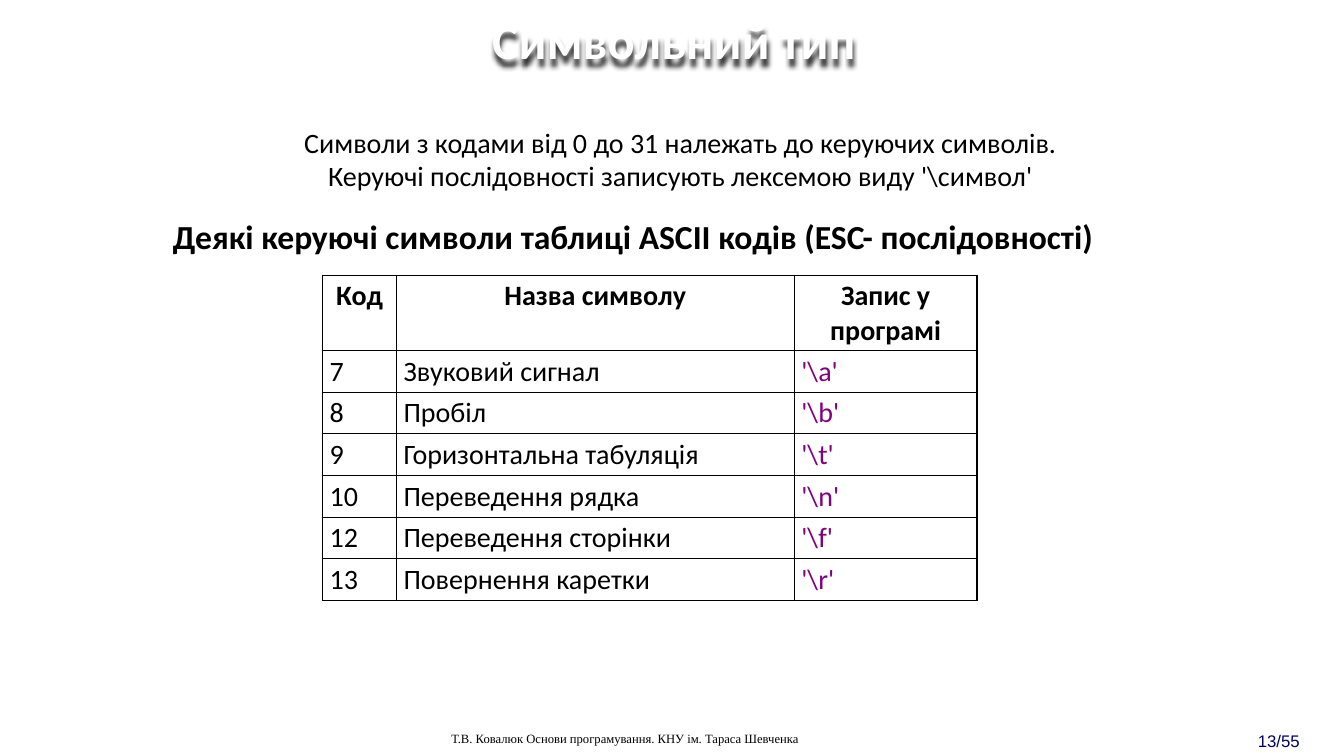
"""Build the slide on the character type and its escape sequences."""
from lxml import etree
from pptx import Presentation
from pptx.dml.color import RGBColor
from pptx.enum.shapes import MSO_SHAPE
from pptx.enum.text import MSO_ANCHOR, MSO_AUTO_SIZE, PP_ALIGN
from pptx.oxml import parse_xml
from pptx.util import Inches, Pt

RECT = MSO_SHAPE.RECTANGLE
TOP, MIDDLE = MSO_ANCHOR.TOP, MSO_ANCHOR.MIDDLE
LEFT, CENTER = PP_ALIGN.LEFT, PP_ALIGN.CENTER
GROW, FIXED = MSO_AUTO_SIZE.SHAPE_TO_FIT_TEXT, MSO_AUTO_SIZE.NONE
NS = "http://schemas.openxmlformats.org/drawingml/2006/main"
WIDTH, HEIGHT = Inches(13.33), Inches(7.5)
BLACK, WHITE, NAVY, PURPLE = "000000", "FFFFFF", "000066", "800080"

HEADER = ("Код", "Назва символу", "Запис у програмі")
ESCAPES = (
    ("7", "Звуковий сигнал", "'\\a'"),
    ("8", "Пробіл", "'\\b'"),
    ("9", "Горизонтальна табуляція", "'\\t'"),
    ("10", "Переведення рядка", "'\\n'"),
    ("12", "Переведення сторінки", "'\\f'"),
    ("13", "Повернення каретки", "'\\r'"),
)
COLUMN_SHARES = (5.5, 29.6, 13.6)
HEADER_SHARE, ROW_SHARE = 9.87, 5.45


def rgb(color):
    """Turn a hex string into a colour."""
    return RGBColor.from_string(color)


def across(share):
    """Return a percentage of the slide's width."""
    return int(WIDTH * share / 100)


def down(share):
    """Return a percentage of the slide's height."""
    return int(HEIGHT * share / 100)


def place(x, y, w, h):
    """Return a box given in percentages of the slide."""
    return across(x), down(y), across(w), down(h)


def style(tf, size, color=BLACK, bold=False, font="Calibri", align=LEFT):
    """Format every paragraph and run of a text frame."""
    for p in tf.paragraphs:
        p.alignment = align
        for r in p.runs:
            r.font.name = font
            r.font.size = Pt(size)
            r.font.bold = bold
            r.font.color.rgb = rgb(color)


def write(sp, text, size, anchor=TOP, wrap=True, fit=GROW, **look):
    """Fill a shape with formatted text and return the shape."""
    tf = sp.text_frame
    tf.text = text
    tf.word_wrap = wrap
    tf.vertical_anchor = anchor
    tf.auto_size = fit
    style(tf, size, **look)
    return sp


def add_text(slide, box, text, size, **look):
    """Add a text box."""
    return write(slide.shapes.add_textbox(*place(*box)), text, size, **look)


def add_panel(slide, box, text, size, **look):
    """Add a white rectangle with text."""
    sp = slide.shapes.add_shape(RECT, *place(*box))
    sp.shadow.inherit = False
    sp.fill.solid()
    sp.fill.fore_color.rgb = rgb(WHITE)
    sp.line.fill.background()
    return write(sp, text, size, **look)


def add_shadow(sp):
    """Give a shape's text a soft shadow below it."""
    sp._element.spPr.append(parse_xml(
        f'<a:effectLst xmlns:a="{NS}">'
        '<a:outerShdw blurRad="38100" dist="50800" dir="5400000">'
        f'<a:srgbClr val="{BLACK}"><a:alpha val="80000"/></a:srgbClr>'
        '</a:outerShdw></a:effectLst>'))


def add_borders(cell):
    """Draw a thin black line on each side of a cell."""
    tc_pr = cell._tc.get_or_add_tcPr()
    for i, side in enumerate("LRTB"):
        ln = etree.Element(f"{{{NS}}}ln{side}", w=str(Pt(1)))
        fill = etree.SubElement(ln, f"{{{NS}}}solidFill")
        etree.SubElement(fill, f"{{{NS}}}srgbClr", val=BLACK)
        tc_pr.insert(i, ln)


def fill_cell(cell, text, **look):
    """Write one bordered white cell."""
    cell.text = text
    cell.margin_left = cell.margin_right = Inches(0.07)
    cell.margin_top = cell.margin_bottom = Inches(0.04)
    cell.fill.solid()
    cell.fill.fore_color.rgb = rgb(WHITE)
    add_borders(cell)
    style(cell.text_frame, 20, **look)


def add_escape_table(slide, x, y):
    """Add the table of escape sequences."""
    rows = (HEADER, *ESCAPES)
    box = place(x, y, sum(COLUMN_SHARES),
                HEADER_SHARE + ROW_SHARE * len(ESCAPES))
    table = slide.shapes.add_table(len(rows), len(HEADER), *box).table
    for column, share in zip(table.columns, COLUMN_SHARES):
        column.width = across(share)
    for i, texts in enumerate(rows):
        table.rows[i].height = down(ROW_SHARE if i else HEADER_SHARE)
        for j, text in enumerate(texts):
            if i == 0:
                look = {"bold": True, "align": CENTER}
            else:
                look = {"color": PURPLE if j == 2 else BLACK}
            fill_cell(table.cell(i, j), text, **look)


def main():
    """Build and save the slide."""
    prs = Presentation()
    prs.slide_width, prs.slide_height = WIDTH, HEIGHT
    slide = prs.slides.add_slide(prs.slide_layouts[6])
    add_text(slide, (92.85, 96, 7.2, 4), "13/55", 12,
             fit=FIXED, color=NAVY, font="Arial")
    add_text(slide, (32.85, 96, 50.4, 3.33),
             "Т.В. Ковалюк Основи програмування. КНУ ім. Тараса Шевченка",
             9, font="Times New Roman")
    add_panel(slide, (3.38, 15.87, 94.5, 10.27),
              "Символи з кодами від 0 до 31 належать до керуючих символів.\n"
              "Керуючі послідовності записують лексемою виду '\\символ'",
              20, anchor=MIDDLE, align=CENTER)
    add_text(slide, (12.08, 27.87, 70.05, 6.67),
             "Деякі керуючі символи таблиці ASCII кодів (ESC- послідовності)",
             24, anchor=MIDDLE, wrap=False, bold=True, align=CENTER)
    add_escape_table(slide, 24, 36.4)
    title = add_text(slide, (12.75, 2.8, 74.8, 5.87), "Символьний тип", 36,
                     anchor=MIDDLE, fit=FIXED, color=WHITE, bold=True,
                     align=CENTER)
    title.text_frame.paragraphs[0].line_spacing = 0.9
    add_shadow(title)
    prs.save("out.pptx")


if __name__ == "__main__":
    main()
